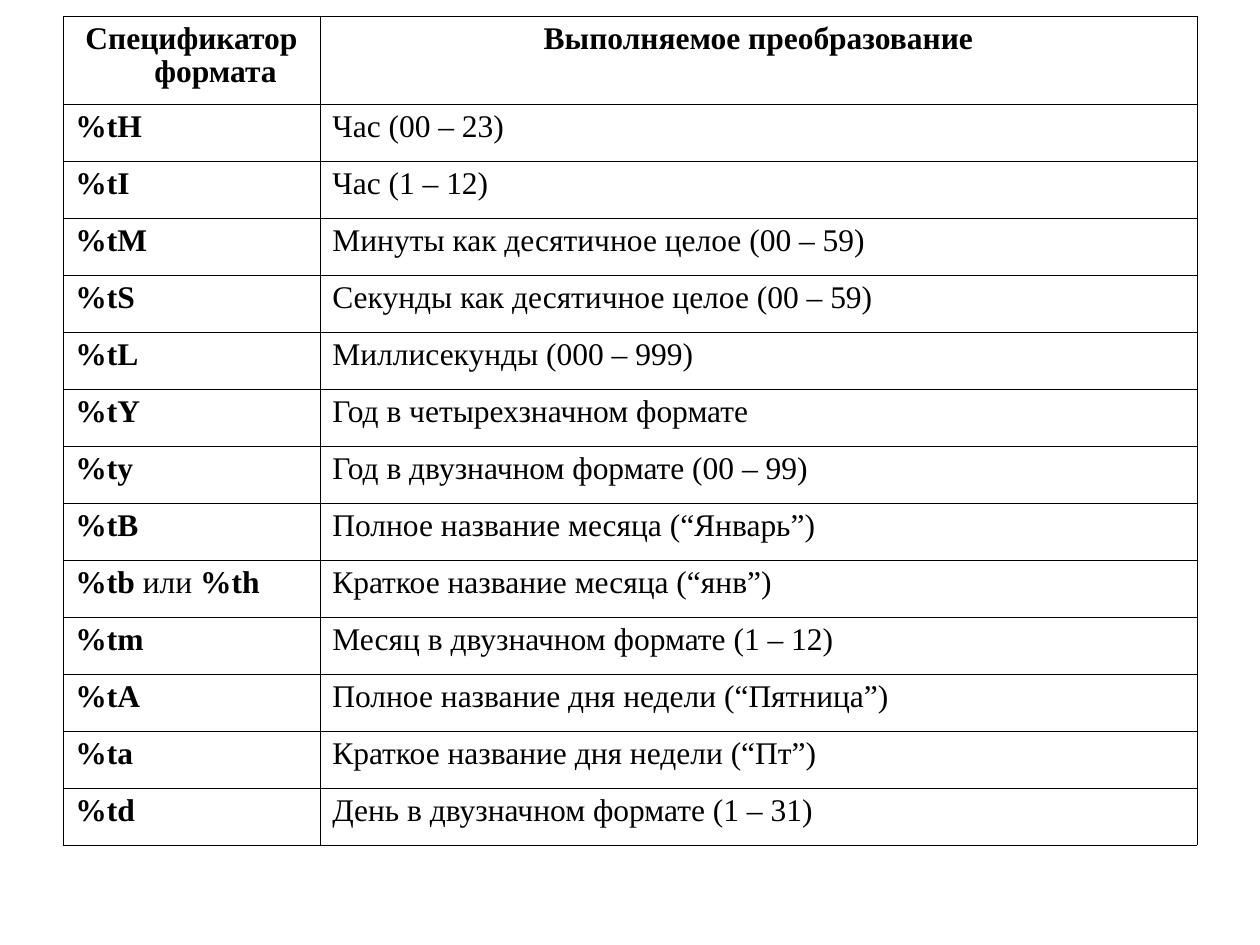
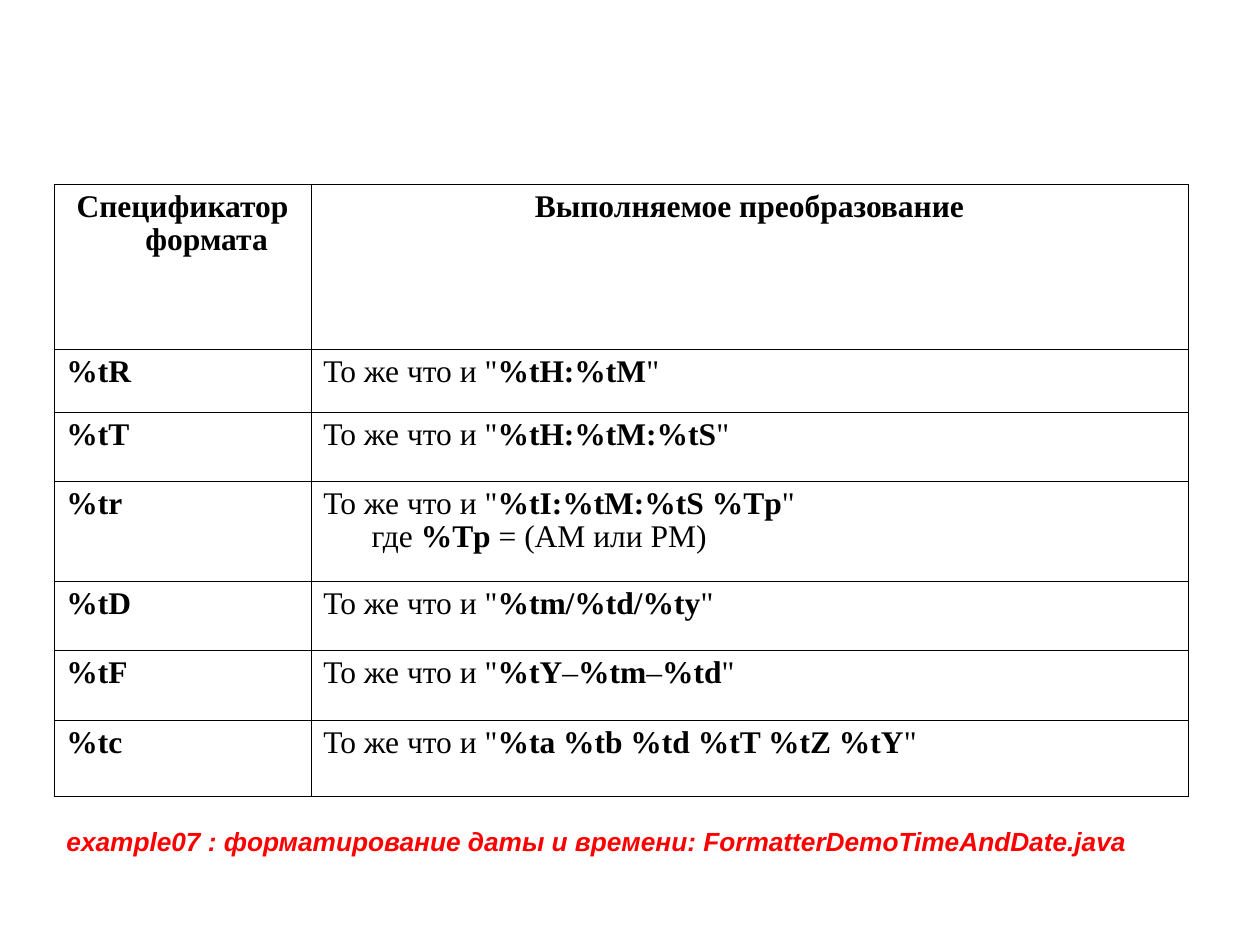
from dataclasses import dataclass

from lxml import etree
from pptx import Presentation
from pptx.dml import color
from pptx.enum import text
from pptx.oxml import ns
from pptx.util import Cm, Pt


@dataclass(frozen=True)
class Theme:
    ink: str = "000000"
    accent: str = "FF0000"
    table_font: str = "Times New Roman"
    caption_font: str = "Arial"
    table_size: float = 18
    caption_size: float = 15
    border: float = 0.45
    line_spacing: float = 0.95
    hanging: float = 0.97
    margin_x: float = 0.25
    margin_y: float = 0.13


THEME = Theme()
COLUMNS = (5.18, 17.68)
HEADER = ("**Cпецификатор формата**", "**Выполняемое преобразование**")

# Double asterisks enclose bold text; a line feed is a line break
FIELD_ROWS = [
    ("**%tH**", "Час (00 – 23)"),
    ("**%tI**", "Час (1 – 12)"),
    ("**%tM**", "Минуты как десятичное целое (00 – 59)"),
    ("**%tS**", "Секунды как десятичное целое (00 – 59)"),
    ("**%tL**", "Миллисекунды (000 – 999)"),
    ("**%tY**", "Год в четырехзначном формате"),
    ("**%ty**", "Год в двузначном формате (00 – 99)"),
    ("**%tB**", "Полное название месяца (“Январь”)"),
    ("**%tb** или **%th**", "Краткое название месяца (“янв”)"),
    ("**%tm**", "Месяц в двузначном формате (1 – 12)"),
    ("**%tA**", "Полное название дня недели (“Пятница”)"),
    ("**%ta**", "Краткое название дня недели (“Пт”)"),
    ("**%td**", "День в двузначном формате (1 – 31)"),
]
SHORTHAND_ROWS = [
    ("**%tR**", 'То же что и "**%tH:%tM**"'),
    ("**%tT**", 'То же что и "**%tH:%tM:%tS**"'),
    ("**%tr**", 'То же что и "**%tI:%tM:%tS %Tp**"\nгде **%Tp** = (AM или PM)'),
    ("**%tD**", 'То же что и "**%tm/%td/%ty**"'),
    ("**%tF**", 'То же что и "**%tY**–**%tm**–**%td**"'),
    ("**%tc**", 'То же что и "**%ta %tb %td %tT %tZ %tY**"'),
]
SHORTHAND_HEIGHTS = (3.33, 1.27, 1.39, 2.02, 1.39, 1.41, 1.53)
CAPTION = "example07 : форматирование даты и времени: FormatterDemoTimeAndDate.java"


def set_all(target, values):
    for name, value in values.items():
        setattr(target, name, value)


def add_span(para, words, rgb, **font):
    span = para.add_run()
    span.text = words
    set_all(span.font, font)
    span.font.color.rgb = color.RGBColor.from_string(rgb)


def write_marked(para, marked):
    """Add spans to the paragraph, switching bold at each marker."""
    for line_number, line in enumerate(marked.split("\n")):
        if line_number:
            para.add_line_break()
        for index, words in enumerate(line.split("**")):
            if words:
                add_span(para, words, THEME.ink, name=THEME.table_font,
                         size=Pt(THEME.table_size), bold=index % 2 == 1)


def outline_cell(cell):
    """Draw the four cell borders."""
    properties = cell._tc.get_or_add_tcPr()
    for side in ("a:lnL", "a:lnR", "a:lnT", "a:lnB"):
        line = etree.SubElement(properties, ns.qn(side), w=str(Pt(THEME.border)))
        fill = etree.SubElement(line, ns.qn("a:solidFill"))
        etree.SubElement(fill, ns.qn("a:srgbClr"), val=THEME.ink)


def fill_cell(cell, marked, alignment):
    set_all(cell, {
        "margin_left": Cm(THEME.margin_x), "margin_right": Cm(THEME.margin_x),
        "margin_top": Cm(THEME.margin_y), "margin_bottom": Cm(THEME.margin_y),
        "vertical_anchor": text.MSO_ANCHOR.TOP,
    })
    outline_cell(cell)
    cell.fill.background()
    para = cell.text_frame.paragraphs[0]
    set_all(para, {"alignment": alignment, "line_spacing": THEME.line_spacing})
    indent = Cm(THEME.hanging)
    set_all_xml = {"marL": indent, "indent": -indent}
    for name, value in set_all_xml.items():
        para._p.get_or_add_pPr().set(name, str(value))
    write_marked(para, marked)


def add_format_table(page, left, top, rows, heights):
    """Place a bordered two-column table with the shared header."""
    frame = page.shapes.add_table(
        len(rows) + 1, len(COLUMNS), Cm(left), Cm(top),
        Cm(sum(COLUMNS)), Cm(sum(heights)))
    table = frame.table
    set_all(table, {"first_row": False, "horz_banding": False})
    for column, width in zip(table.columns, COLUMNS):
        column.width = Cm(width)
    for row_index, (row, height) in enumerate(zip([HEADER, *rows], heights)):
        table.rows[row_index].height = Cm(height)
        alignment = text.PP_ALIGN.LEFT if row_index else text.PP_ALIGN.CENTER
        for column_index, marked in enumerate(row):
            fill_cell(table.cell(row_index, column_index), marked, alignment)


def add_caption(page, left, top, width, height):
    """Place the red example reference."""
    box = page.shapes.add_textbox(Cm(left), Cm(top), Cm(width), Cm(height))
    set_all(box.text_frame, {
        "word_wrap": True, "auto_size": text.MSO_AUTO_SIZE.SHAPE_TO_FIT_TEXT})
    add_span(box.text_frame.paragraphs[0], CAPTION, THEME.accent,
             name=THEME.caption_font, size=Pt(THEME.caption_size),
             bold=True, italic=True)


def main():
    deck = Presentation()
    set_all(deck, {"slide_width": Cm(25.4), "slide_height": Cm(19.05)})
    blank = deck.slide_layouts[6]

    # Date and time fields
    page = deck.slides.add_slide(blank)
    add_format_table(page, 1.27, 0.33, FIELD_ROWS,
                     [1.77] + [1.15] * len(FIELD_ROWS))

    # Combined shorthand formats
    page = deck.slides.add_slide(blank)
    add_format_table(page, 1.09, 3.72, SHORTHAND_ROWS, SHORTHAND_HEIGHTS)
    add_caption(page, 1.09, 16.51, 22, 0.89)

    deck.save("out.pptx")


if __name__ == "__main__":
    main()
